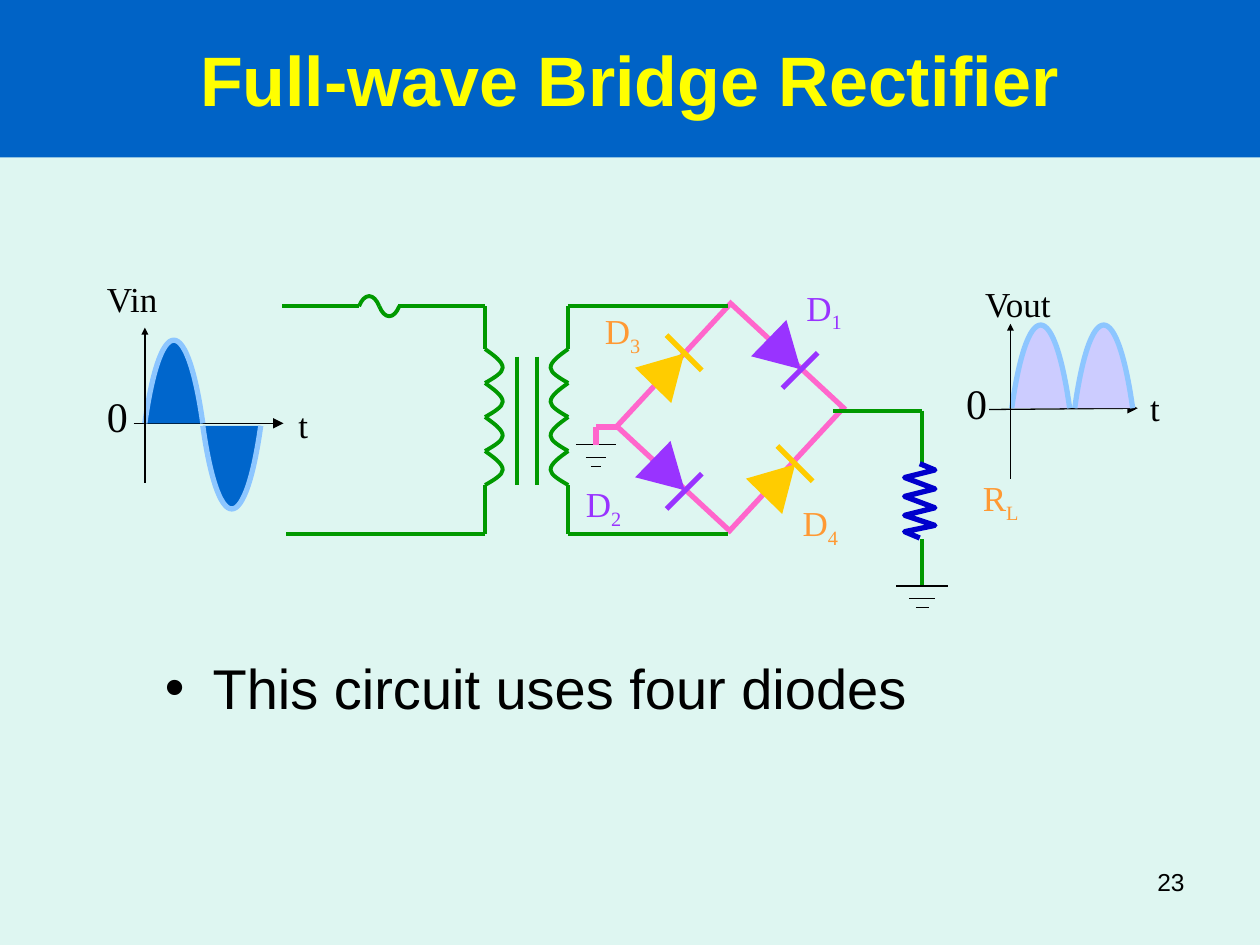
from lxml import etree
from pptx import Presentation
from pptx.dml.color import RGBColor
from pptx.enum import shapes as kinds, text as layout
from pptx.oxml import ns
from pptx.util import Inches, Pt

COLORS = {
    "background": "DEF6F1", "banner": "0063C6", "title": "FFFF00", "ink": "000000",
    "wire": "009900", "bridge": "FF66CC", "resistor": "0000CC",
    "purple": "9933FF", "yellow": "FFCC00", "orange": "FF9933",
    "wave": "8DC6FF", "input": "0066CC", "output": "CCCCFF",
}
SERIF = "Times New Roman"
# Bezier points of half a wave, as shares of its length and rise
WAVE = ((0, 0), (0.12, 0.6), (0.3, 1), (0.5, 1), (0.7, 1), (0.88, 0.6), (1, 0))
COIL = ((0, 0), (0.19, 0.5), (0.37, 1), (0.55, 1), (0.7, 1), (0.85, 0.5), (1, 0))


def color(name):
    return RGBColor.from_string(COLORS[name])


def style(shape, fill=None, line=None, width=3, sharp=False):
    shape.shadow.inherit = False
    if fill:
        shape.fill.solid()
        shape.fill.fore_color.rgb = color(fill)
    else:
        shape.fill.background()
    if line:
        shape.line.color.rgb = color(line)
        shape.line.width = Pt(width)
    else:
        shape.line.fill.background()
    if sharp:
        outline = shape.line._get_or_add_ln()
        etree.SubElement(outline, ns.qn("a:miter")).set("lim", "800000")


def write(shape, words, size=20, font=SERIF, ink="ink", bold=False, align="LEFT",
          anchor="TOP", inset=True, sub=None, bullet=False):
    """Fill a shape with one paragraph, optionally bulleted or with a subscript."""
    frame = shape.text_frame
    frame.word_wrap = True
    frame.vertical_anchor = getattr(layout.MSO_ANCHOR, anchor)
    if not inset:
        frame.margin_left = frame.margin_right = frame.margin_top = frame.margin_bottom = 0
    paragraph = frame.paragraphs[0]
    paragraph.alignment = getattr(layout.PP_ALIGN, align)
    if bullet:
        properties = paragraph._p.get_or_add_pPr()
        properties.set("marL", str(Inches(0.38)))
        properties.set("indent", str(-Inches(0.38)))
        etree.SubElement(properties, ns.qn("a:buFont")).set("typeface", font)
        etree.SubElement(properties, ns.qn("a:buChar")).set("char", "•")
    for part in filter(None, (words, sub)):
        run = paragraph.add_run()
        run.text = part
        run.font.size, run.font.name, run.font.bold = Pt(size), font, bold
        run.font.color.rgb = color(ink)
        if part is sub:
            run.font._element.set("baseline", "-25000")


def add_text(shapes, x, y, width, height, words, **look):
    box = shapes.add_textbox(Inches(x), Inches(y), Inches(width), Inches(height))
    write(box, words, **look)


def add_line(shapes, start, end, ink="wire", width=2.25, arrow=None):
    """Draw a straight line; arrow is the size of its head, if any."""
    line = shapes.add_connector(kinds.MSO_CONNECTOR.STRAIGHT,
                                *(Inches(value) for value in (*start, *end)))
    line.line.color.rgb = color(ink)
    line.line.width = Pt(width)
    if arrow:
        etree.SubElement(line.line._get_or_add_ln(), ns.qn("a:tailEnd"),
                         type="triangle", w=arrow, len=arrow)
    etree.SubElement(line._element.spPr, ns.qn("a:effectLst"))


def add_wires(shapes, *points, **look):
    """Join successive points with straight lines."""
    for start, end in zip(points, points[1:]):
        add_line(shapes, start, end, **look)


def add_outline(shapes, points, curved=False, fill=None, line="wire", width=2.25):
    """Draw an open outline; a curved one takes its points as Bezier controls."""
    (x, y), *rest = points
    builder = shapes.build_freeform(Inches(x), Inches(y), scale=1.0)
    builder.add_line_segments([(Inches(a), Inches(b)) for a, b in rest], close=False)
    outline = builder.convert_to_shape()
    if curved:
        segments = list(outline._element.iter(ns.qn("a:lnTo")))
        for first in range(0, len(segments), 3):
            curve = etree.Element(ns.qn("a:cubicBezTo"))
            segments[first].addprevious(curve)
            for segment in segments[first:first + 3]:
                curve.append(segment[0])
                segment.getparent().remove(segment)
    style(outline, fill, line, width)


def add_arch(shapes, x, y, length, rise, upright=False, **look):
    """Draw half a wave; an upright one runs downwards and bulges sideways."""
    if upright:
        points = [(x + rise * out, y + length * along) for along, out in COIL]
    else:
        points = [(x + length * along, y - rise * out) for along, out in WAVE]
    add_outline(shapes, points, curved=True, **look)


def add_ground(shapes, x, y, width):
    for drop, share in ((0, 1), (0.1, 0.5), (0.17, 0.25)):
        half = width * share / 2
        add_line(shapes, (x - half, y + drop), (x + half, y + drop), "ink", 0.75)


def add_diode(slide, x, y, lean, ink):
    """Draw a diode centred on its triangle, pointing right and down (1) or up (-1)."""
    shapes = slide.shapes.add_group_shape().shapes
    width, height, reach = 0.33, 0.29, 0.14
    body = shapes.add_shape(kinds.MSO_SHAPE.ISOSCELES_TRIANGLE, Inches(x - width / 2),
                            Inches(y - height / 2), Inches(width), Inches(height))
    body.rotation = 89.2 + 45 * lean
    style(body, ink, ink, sharp=True)
    bar_x, bar_y = x + 0.13, y + reach * lean
    add_line(shapes, (bar_x - reach, bar_y + reach * lean),
             (bar_x + reach, bar_y - reach * lean), ink, 3)


def add_transformer(shapes):
    turn = 0.27
    for x, rise in ((3.85, 0.14), (4.51, -0.14)):
        for index in range(4):
            add_arch(shapes, x, 2.77 + turn * index, turn, rise, upright=True)
    for x in (4.1, 4.26):
        add_line(shapes, (x, 2.83), (x, 3.85))
    add_wires(shapes, (3.16, 2.43), (3.85, 2.43), (3.85, 2.77))
    add_wires(shapes, (3.85, 3.85), (3.85, 4.24), (2.27, 4.24))
    add_wires(shapes, (5.78, 2.43), (4.51, 2.43), (4.51, 2.77))
    add_wires(shapes, (4.51, 3.85), (4.51, 4.24), (5.78, 4.24))


def add_fuse(slide):
    add_line(slide.shapes, (2.24, 2.43), (2.85, 2.43))
    shapes = slide.shapes.add_group_shape().shapes
    add_arch(shapes, 2.85, 2.43, 0.16, 0.08)
    add_arch(shapes, 3.01, 2.43, 0.16, -0.08)


def add_bridge(slide):
    shapes = slide.shapes
    diamond = shapes.add_shape(kinds.MSO_SHAPE.RECTANGLE, Inches(5.13), Inches(2.7),
                               Inches(1.33), Inches(1.22))
    diamond.rotation = 312.8
    style(diamond, line="bridge", sharp=True)
    ground = shapes.add_group_shape().shapes
    add_ground(ground, 4.73, 3.53, 0.32)
    add_wires(ground, (4.92, 3.39), (4.73, 3.39), (4.73, 3.53), ink="bridge", width=3)
    for number, x, y, lean, ink, label_ink, label_x, label_y in (
            ("1", 6.22, 2.8, 1, "purple", "purple", 6.4, 2.27),
            ("2", 5.3, 3.76, 1, "purple", "purple", 4.65, 3.83),
            ("3", 5.3, 2.94, -1, "yellow", "orange", 4.8, 2.46),
            ("4", 6.18, 3.82, -1, "yellow", "orange", 6.37, 3.98)):
        add_diode(slide, x, y, lean, ink)
        add_text(shapes, label_x, label_y, 0.46, 0.37, "D", sub=number, ink=label_ink, inset=False)


def add_load(slide):
    shapes = slide.shapes
    add_wires(shapes, (6.61, 3.26), (7.32, 3.26), (7.32, 3.68))
    add_line(shapes, (7.32, 4.28), (7.32, 4.65))
    add_ground(shapes.add_group_shape().shapes, 7.32, 4.65, 0.41)
    levels = (4.22, 4.17, 4.09, 4.03, 3.94, 3.88, 3.79, 3.73)
    zigzag = [(7.42 if index % 2 else 7.18, y) for index, y in enumerate(levels)]
    add_outline(shapes, [(7.3, 4.27), *zigzag, (7.3, 3.68)], line="resistor", width=3)
    add_text(shapes, 7.8, 3.78, 0.37, 0.4, "R", sub="L", ink="orange", inset=False)


def add_graph(shapes, name, x, y, fill, humps, time_axis, level_axis, labels):
    """Draw a voltage graph; each hump is an x, a y and a signed rise."""
    add_line(shapes, *time_axis, ink="ink", width=0.75, arrow="med")
    for hump_x, hump_y, rise in humps:
        add_arch(shapes, hump_x, hump_y, 0.46, rise, fill=fill, line="wave", width=3)
    add_line(shapes, *level_axis, ink="ink", width=1, arrow="sm")
    add_text(shapes, x, y, 1.09, 0.43, name)
    zero, time = labels
    add_text(shapes, *zero, 0.28, 0.5, "0", size=24)
    add_text(shapes, *time, 0.36, 0.43, "t")


def main():
    deck = Presentation()
    deck.slide_width, deck.slide_height = Inches(10), Inches(7.5)
    slide = deck.slides.add_slide(deck.slide_layouts[6])
    slide.background.fill.solid()
    slide.background.fill.fore_color.rgb = color("background")
    shapes = slide.shapes

    banner = shapes.add_shape(kinds.MSO_SHAPE.RECTANGLE, Inches(-0.01), 0, Inches(10.01), Inches(1.25))
    style(banner, "banner")
    write(banner, "Full-wave Bridge Rectifier", size=40, font="Arial", ink="title",
          bold=True, align="CENTER", anchor="MIDDLE")

    add_bridge(slide)
    add_fuse(slide)
    add_transformer(shapes)
    add_load(slide)
    add_graph(shapes, "Vin", 0.75, 2.15, "input", ((1.15, 3.36, 0.66), (1.61, 3.38, -0.66)),
              ((1.06, 3.36), (2.25, 3.36)), ((1.15, 3.83), (1.15, 2.6)),
              ((0.75, 3.05), (2.27, 3.15)))
    add_graph(shapes, "Vout", 7.72, 2.19, "output", ((8.03, 3.24, 0.66), (8.53, 3.24, 0.66)),
              ((7.85, 3.25), (9.03, 3.24)), ((8.02, 3.8), (8.02, 2.57)),
              ((7.57, 2.95), (9.03, 3.02)))
    add_text(shapes, 1.21, 5.14, 8.5, 1.55, "This circuit uses four diodes",
             size=32, font="Arial", bullet=True)
    add_text(shapes, 7.17, 6.83, 2.33, 0.52, "23", size=14, font="Arial", align="RIGHT")
    deck.save("out.pptx")


if __name__ == "__main__":
    main()
